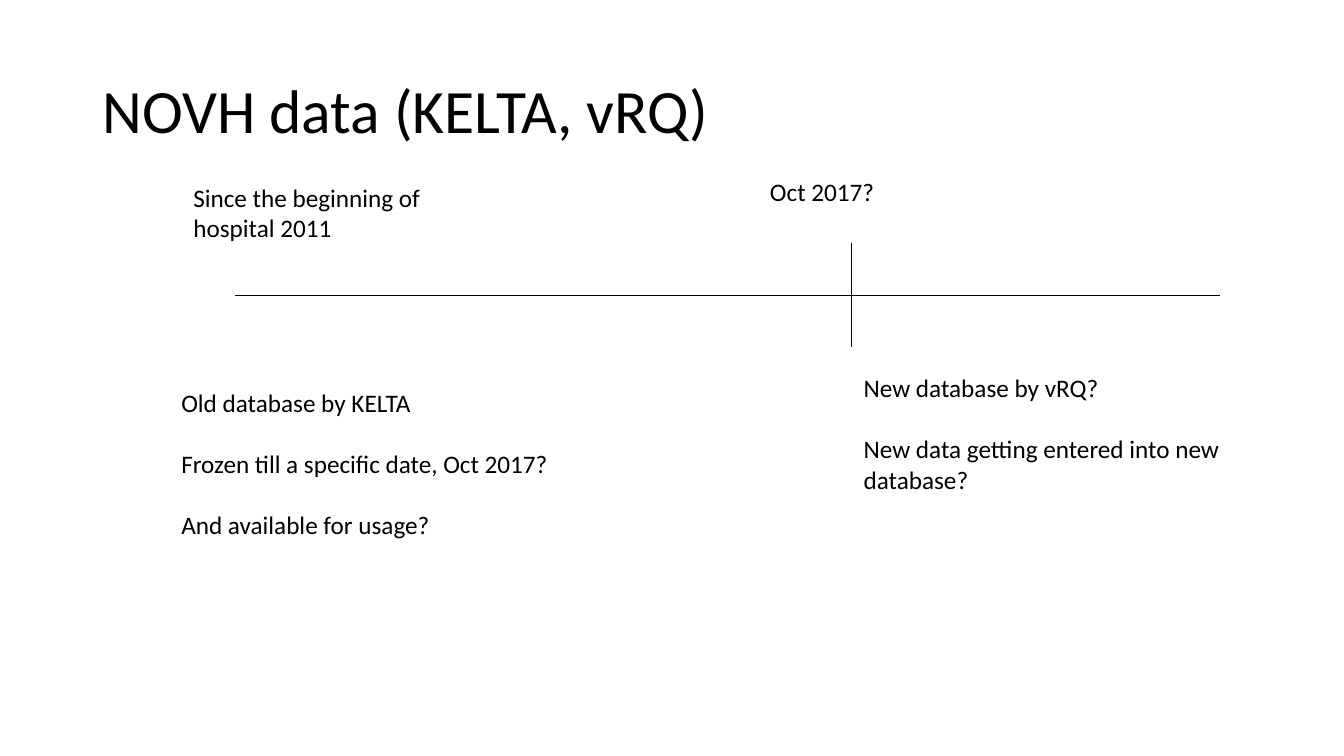
from pptx import Presentation
from pptx.dml.color import RGBColor
from pptx.enum import shapes, text
from pptx.oxml.ns import qn
from pptx.util import Pt
from lxml import etree

BLACK = RGBColor(0, 0, 0)
TITLE_ONLY = 5
LINE_GAP = 22  # one empty line of 18 pt text


def write(frame, lines, size, gap=0, **para_format):
    """Fill a text frame with left-aligned paragraphs, gap points apart."""
    frame.word_wrap = True
    for index, line in enumerate(lines):
        para = frame.paragraphs[0] if index == 0 else frame.add_paragraph()
        formats = {"alignment": text.PP_ALIGN.LEFT,
                   "space_before": Pt(gap if index else 0), **para_format}
        for name, value in formats.items():
            setattr(para, name, value)
        span = para.add_run()
        span.text = line
        for name, value in {"size": Pt(size), "name": "Calibri"}.items():
            setattr(span.font, name, value)
        span.font.color.rgb = BLACK


def add_title(page, left, top, width, height, words):
    title = page.shapes.title
    box = {"left": left, "top": top, "width": width, "height": height}
    for name, value in box.items():
        setattr(title, name, Pt(value))
    title.text_frame.auto_size = text.MSO_AUTO_SIZE.NONE
    title.text_frame.vertical_anchor = text.MSO_ANCHOR.MIDDLE
    write(title.text_frame, [words], 44, line_spacing=0.9)


def add_note(page, left, top, width, height, lines):
    box = page.shapes.add_textbox(Pt(left), Pt(top), Pt(width), Pt(height))
    write(box.text_frame, lines, 18, LINE_GAP)
    box.text_frame.auto_size = text.MSO_AUTO_SIZE.SHAPE_TO_FIT_TEXT


def add_rule(page, *ends):
    rule = page.shapes.add_connector(
        shapes.MSO_CONNECTOR.STRAIGHT, *map(Pt, ends))
    rule.line.color.rgb = BLACK
    rule.line.width = Pt(0.5)
    etree.SubElement(rule._element.spPr, qn("a:effectLst"))


def add_timeline(page, left, top, width, height):
    """Draw the axis, the changeover mark and the notes around them."""
    axis, changeover = top + 88.5, left + 486
    add_rule(page, left + 45.4, axis, left + width, axis)
    add_rule(page, changeover, axis - 37, changeover, axis + 37)

    label_width, note_width, note_height = 193, 346.3, 116.6
    add_note(page, changeover - 65.5, top, label_width, 29, ["Oct 2017?"])
    add_note(page, left + 8.6, top + 4.3, label_width, 51,
             ["Since the beginning of hospital 2011"])
    add_note(page, left, top + height - note_height, note_width, note_height,
             ["Old database by KELTA",
              "Frozen till a specific date, Oct 2017?",
              "And available for usage?"])
    add_note(page, changeover + 1.4, axis + 51.8, note_width, note_height,
             ["New database by vRQ?",
              "New data getting entered into new database?"])


def main():
    deck = Presentation()
    deck.slide_width, deck.slide_height = Pt(960), Pt(540)
    page = deck.slides.add_slide(deck.slide_layouts[TITLE_ONLY])
    add_title(page, 66, 28.75, 828, 104.4, "NOVH data (KELTA, vRQ)")
    add_timeline(page, 122.4, 122.4, 748.8, 267)
    deck.save("out.pptx")


if __name__ == "__main__":
    main()
